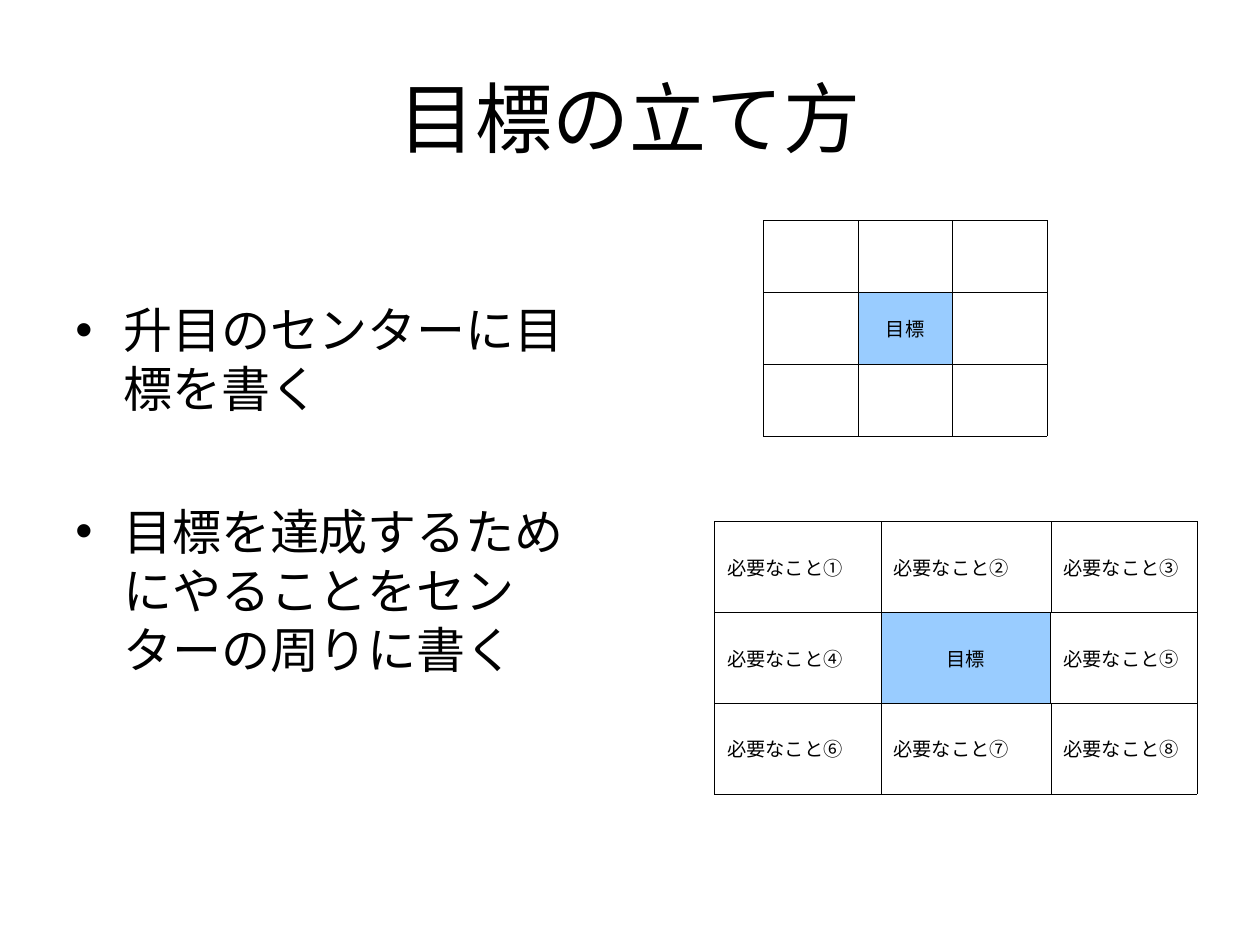
from dataclasses import dataclass

from lxml.etree import SubElement
from pptx import Presentation
from pptx.dml.color import RGBColor
from pptx.enum.text import MSO_ANCHOR as Anchor, PP_ALIGN as Align
from pptx.oxml.ns import qn
from pptx.util import Inches, Pt

COLORS = {"ink": "000000", "goal": "99CCFF"}
BODY_FONT, CELL_FONT = "Arial", "Noto Sans CJK JP"
THIN, THICK = Pt(0.23), Pt(0.57)
GOAL = (1, 1)
# Side of the goal cell: (neighbour's row, neighbour's column, neighbour's side)
NEIGHBOURS = {"L": (1, 0, "R"), "R": (1, 2, "L"), "T": (0, 1, "B"), "B": (2, 1, "T")}


@dataclass
class GoalGrid:
    left: float
    top: float
    widths: list[float]
    row_height: float
    texts: list[list[str]]
    thick_sides: str


def color(name: str) -> RGBColor:
    return RGBColor.from_string(COLORS[name])


def style(p, size: float, font: str, align=Align.LEFT) -> None:
    p.alignment = align
    for r in p.runs:
        r.font.size = Pt(size)
        r.font.name = font
        r.font.color.rgb = color("ink")


def add_textbox(slide, left: float, top: float, width: float, height: float, anchor):
    tf = slide.shapes.add_textbox(
        Inches(left), Inches(top), Inches(width), Inches(height)).text_frame
    tf.word_wrap = True
    tf.vertical_anchor = anchor
    return tf


def add_bullet(p) -> None:
    pPr = p._p.get_or_add_pPr()
    pPr.set("marL", str(Inches(0.38)))
    pPr.set("indent", str(-Inches(0.38)))
    SubElement(pPr, qn("a:buFont"), typeface=BODY_FONT)
    SubElement(pPr, qn("a:buChar"), char="•")


def add_border(cell, side: str, width: int) -> None:
    ln = SubElement(cell._tc.get_or_add_tcPr(), qn(f"a:ln{side}"), w=str(width))
    fill = SubElement(ln, qn("a:solidFill"))
    SubElement(fill, qn("a:srgbClr"), val=COLORS["ink"])


def add_grid(slide, grid: GoalGrid) -> None:
    rows, cols = len(grid.texts), len(grid.widths)
    table = slide.shapes.add_table(
        rows, cols, Inches(grid.left), Inches(grid.top),
        Inches(sum(grid.widths)), Inches(grid.row_height * rows)).table
    table.first_row = table.horz_banding = False
    for column, width in zip(table.columns, grid.widths):
        column.width = Inches(width)

    thick = {(*GOAL, side) for side in grid.thick_sides}
    thick |= {NEIGHBOURS[side] for side in grid.thick_sides}
    for i, texts in enumerate(grid.texts):
        table.rows[i].height = Inches(grid.row_height)
        for j, text in enumerate(texts):
            cell = table.cell(i, j)
            is_goal = (i, j) == GOAL
            for side in "LRTB":
                add_border(cell, side, THICK if (i, j, side) in thick else THIN)
            if is_goal:
                cell.fill.solid()
                cell.fill.fore_color.rgb = color("goal")
            else:
                cell.fill.background()
            cell.vertical_anchor = Anchor.MIDDLE
            if text:
                cell.text_frame.text = text
                style(cell.text_frame.paragraphs[0], 11, CELL_FONT,
                      Align.CENTER if is_goal else Align.LEFT)


def main() -> None:
    prs = Presentation()
    prs.slide_width, prs.slide_height = Inches(10), Inches(7.5)
    slide = prs.slides.add_slide(prs.slide_layouts[6])

    # Title
    tf = add_textbox(slide, 0.5, 0.3, 9, 1.25, Anchor.MIDDLE)
    tf.text = "目標の立て方"
    style(tf.paragraphs[0], 44, BODY_FONT, Align.CENTER)

    # Steps
    tf = add_textbox(slide, 0.5, 2.33, 4.42, 4.37, Anchor.TOP)
    tf.text = "升目のセンターに目標を書く\n目標を達成するためにやることをセンターの周りに書く"
    for p in tf.paragraphs:
        add_bullet(p)
        style(p, 28, BODY_FONT)
    tf.paragraphs[1].space_before = Pt(48)

    # Grid with only the goal, then the grid filled in around it
    add_grid(slide, GoalGrid(
        6.06, 1.75, [0.75] * 3, 0.57,
        [["", "", ""], ["", "目標", ""], ["", "", ""]], "LRTB"))
    add_grid(slide, GoalGrid(
        5.67, 4.14, [1.32, 1.35, 1.16], 0.72,
        [["必要なこと①", "必要なこと②", "必要なこと③"],
         ["必要なこと④", "目標", "必要なこと⑤"],
         ["必要なこと⑥", "必要なこと⑦", "必要なこと⑧"]], "RB"))

    prs.save("out.pptx")


if __name__ == "__main__":
    main()
